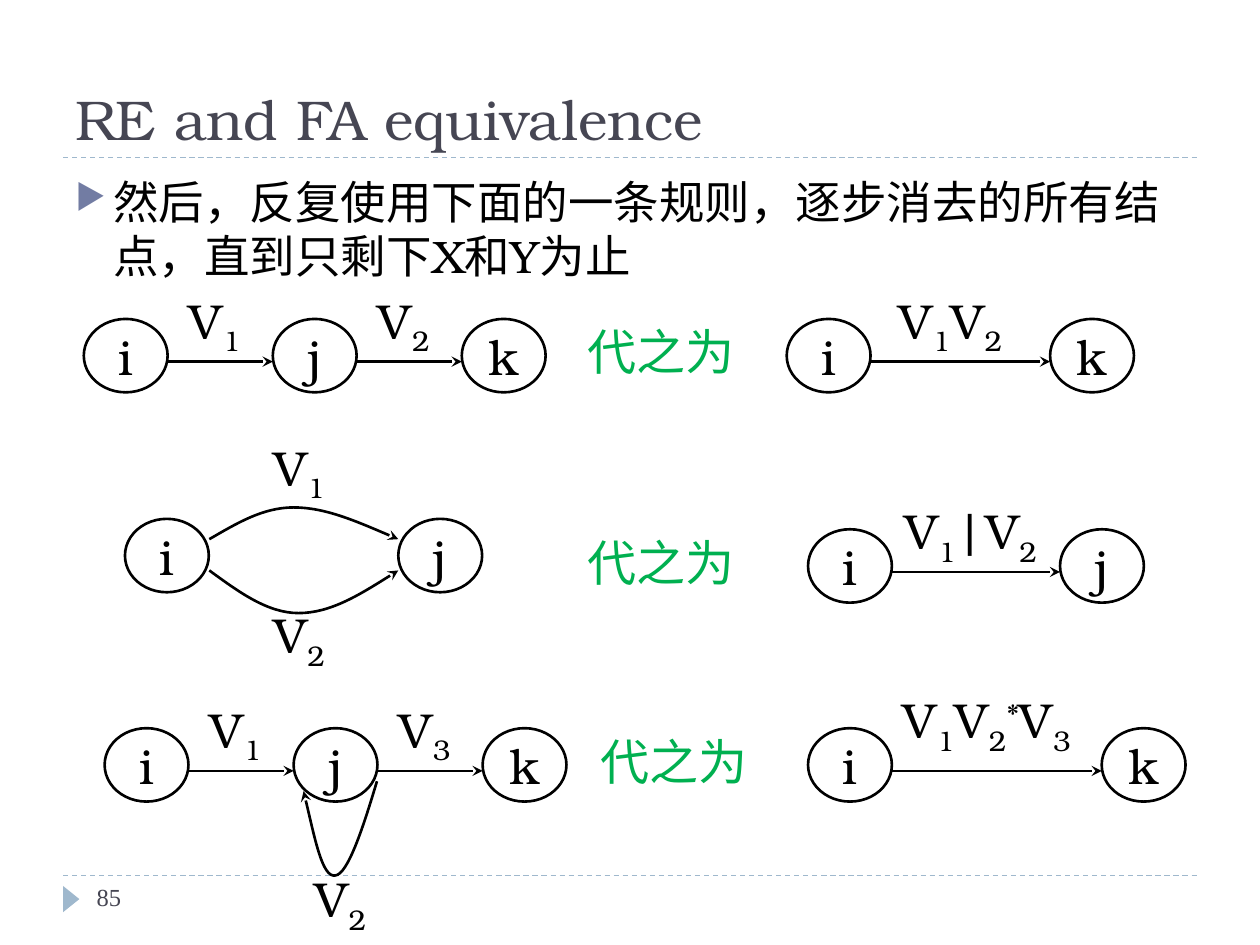
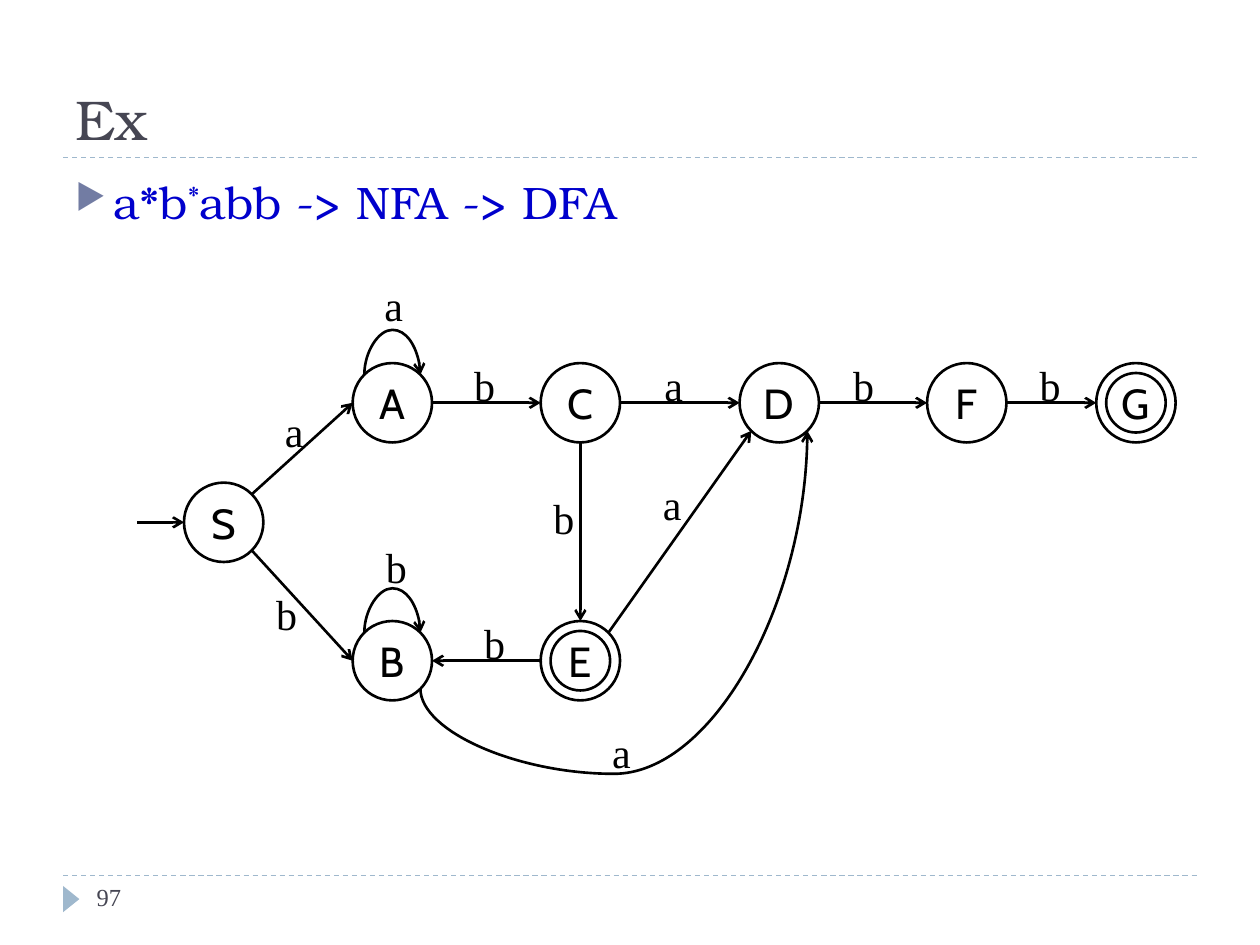
from dataclasses import dataclass
from itertools import groupby
from math import cos, radians, sin

from lxml.etree import SubElement
from pptx import Presentation
from pptx.dml.color import RGBColor
from pptx.enum.dml import MSO_LINE
from pptx.enum.shapes import MSO_CONNECTOR, MSO_SHAPE
from pptx.enum.text import MSO_ANCHOR, MSO_AUTO_SIZE, PP_ALIGN
from pptx.oxml.ns import qn
from pptx.util import Cm, Pt


@dataclass(frozen=True)
class Theme:
    ink: str = "000000"
    heading: str = "464653"
    rule: str = "9FB8CD"
    bullet: str = "727CA3"
    replace: str = "00B050"
    example: str = "0000CC"
    serif: str = "TeX Gyre Bonum"
    roman: str = "Times New Roman"
    sans: str = "Cabin"
    title_size: int = 32
    body_size: int = 26
    diagram_size: int = 28
    state_size: int = 24
    number_size: int = 14
    stroke: float = 1.5
    hairline: float = 0.75


@dataclass(frozen=True)
class Box:
    left: float
    top: float
    width: float = 0
    height: float = 0

    def at(self, x, y):
        return self.left + x, self.top + y

    def lengths(self):
        return [Cm(value) for value in (self.left, self.top, self.width, self.height)]


THEME = Theme()
TITLE_BOX = Box(1.27, 0.43, 22.86, 2.75)
BODY_BOX = Box(1.27, 3.38, 22.86, 2.5)
NUMBER_BOX = Box(1.7, 17.65, 5.5, 1.02)
RULE_TOPS = (3.18, 17.65)
SHIFTS = {"_": "-25000", "^": "30000"}

NODE_WIDTH, NODE_HEIGHT = 1.69, 1.48
ARROW_DROP = 0.86
STATE_RADIUS, FINAL_RADIUS = 0.8, 0.6


# Formatting helpers

def set_values(target, values):
    for name, value in values.items():
        setattr(target, name, value)


def split_shifts(text):
    """Split text into runs; "_" lowers and "^" raises the next character."""
    characters, shift = [], None
    for character in text:
        if character in SHIFTS:
            shift = SHIFTS[character]
        else:
            characters.append((character, shift))
            shift = None
    for baseline, group in groupby(characters, key=lambda pair: pair[1]):
        yield "".join(character for character, _ in group), baseline


def write(shape, text, size, font=THEME.serif, color=THEME.ink, frame=None, align=PP_ALIGN.LEFT):
    text_frame = shape.text_frame
    set_values(text_frame, {"word_wrap": True, "auto_size": MSO_AUTO_SIZE.NONE, **(frame or {})})
    paragraph = text_frame.paragraphs[0]
    paragraph.alignment = align
    for part, baseline in split_shifts(text):
        run = paragraph.add_run()
        run.text = part
        set_values(run.font, {"name": font, "size": Pt(size)})
        run.font.color.rgb = RGBColor.from_string(color)
        if baseline:
            run._r.get_or_add_rPr().set("baseline", baseline)
    return paragraph


def set_line(shape, head=None, color=THEME.ink, width=THEME.stroke):
    shape.line.color.rgb = RGBColor.from_string(color)
    shape.line.width = Pt(width)
    if head:
        SubElement(shape.line._get_or_add_ln(), qn("a:tailEnd"), type=head)


# Drawing helpers, all in centimetres

def add_line(slide, start, end, **style):
    connector = slide.shapes.add_connector(
        MSO_CONNECTOR.STRAIGHT, *(Cm(value) for value in (*start, *end)))
    set_line(connector, **style)
    SubElement(connector._element.spPr, qn("a:effectLst"))
    return connector


def add_curve(slide, points, head):
    """Draw Bezier segments: a start, then two controls and an end for each."""
    start, *others = [(Cm(x), Cm(y)) for x, y in points]
    builder = slide.shapes.build_freeform(*start)
    builder.add_line_segments(others, close=False)
    shape = builder.convert_to_shape()
    path = next(shape._element.iter(qn("a:path")))
    segments = path.findall(qn("a:lnTo"))
    for index in range(0, len(segments), 3):
        bezier = SubElement(path, qn("a:cubicBezTo"))
        for segment in segments[index:index + 3]:
            bezier.append(segment[0])
            path.remove(segment)
    shape.fill.background()
    shape.shadow.inherit = False
    set_line(shape, head)


def add_bend(slide, start, turn, end, head):
    """Curve that leaves vertically, touches the height turn and comes back."""
    (x1, y1), (x2, y2) = start, end
    quarter = (x2 - x1) / 4
    add_curve(slide, [
        start, (x1, (y1 + turn) / 2), (x1 + quarter, turn), (x1 + 2 * quarter, turn),
        (x2 - quarter, turn), (x2, (y2 + turn) / 2), end], head)


def add_ellipse(slide, box, text="", **style):
    ellipse = slide.shapes.add_shape(MSO_SHAPE.OVAL, *box.lengths())
    ellipse.fill.background()
    ellipse.shadow.inherit = False
    set_line(ellipse)
    if text:
        margins = dict.fromkeys(
            ("margin_left", "margin_right", "margin_top", "margin_bottom"), 0)
        frame = {"word_wrap": False, "vertical_anchor": MSO_ANCHOR.MIDDLE, **margins}
        write(ellipse, text, frame=frame, align=PP_ALIGN.CENTER, **style)


def add_label(slide, center, text, width=2.34, height=1.48, **style):
    x, y = center
    box = Box(x - width / 2, y - height / 2, width, height)
    label = slide.shapes.add_textbox(*box.lengths())
    style = {"size": THEME.diagram_size, **style}
    frame = {"word_wrap": False, "vertical_anchor": MSO_ANCHOR.MIDDLE}
    write(label, text, frame=frame, align=PP_ALIGN.CENTER, **style)


# Parts every slide shares

def add_page(presentation, title, number):
    slide = presentation.slides.add_slide(presentation.slide_layouts[5])
    for top in RULE_TOPS:
        rule = add_line(slide, (1.27, top), (24.13, top), color=THEME.rule, width=THEME.hairline)
        rule.line.dash_style = MSO_LINE.DASH

    heading = slide.shapes.title
    set_values(heading, dict(zip(("left", "top", "width", "height"), TITLE_BOX.lengths())))
    write(heading, title, THEME.title_size, color=THEME.heading,
          frame={"vertical_anchor": MSO_ANCHOR.BOTTOM})

    marker = slide.shapes.add_shape(
        MSO_SHAPE.ISOSCELES_TRIANGLE, *Box(1.17, 17.96, 0.53, 0.33).lengths())
    marker.rotation = 90
    marker.fill.solid()
    marker.fill.fore_color.rgb = RGBColor.from_string(THEME.rule)
    marker.line.fill.background()
    marker.shadow.inherit = False

    page_number = slide.shapes.add_textbox(*NUMBER_BOX.lengths())
    write(page_number, number, THEME.number_size, THEME.roman, THEME.heading)
    return slide


def add_bullet(slide, box, text, color):
    body = slide.shapes.add_textbox(*box.lengths())
    paragraph = write(body, text, THEME.body_size, color=color)
    properties = paragraph._p.get_or_add_pPr()
    indent = Cm(0.76)
    properties.set("marL", str(indent))
    properties.set("indent", str(-indent))
    bullet_color = SubElement(properties, qn("a:buClr"))
    SubElement(bullet_color, qn("a:srgbClr"), val=THEME.bullet)
    SubElement(properties, qn("a:buSzPct"), val="76000")
    SubElement(properties, qn("a:buChar"), char="▶")


# Rewriting rules

def add_nodes(slide, box, names, pitch):
    for index, name in enumerate(names):
        node = Box(*box.at(index * pitch, 0), NODE_WIDTH, NODE_HEIGHT)
        add_ellipse(slide, node, name, size=THEME.diagram_size)


def add_chain(slide, box, names, pitch, labels, label_offset=(-0.11, 0.1)):
    add_nodes(slide, box, names, pitch)
    for index, label in enumerate(labels):
        start = index * pitch + NODE_WIDTH
        end = (index + 1) * pitch
        add_line(slide, box.at(start, ARROW_DROP), box.at(end, ARROW_DROP), head="stealth")
        dx, dy = label_offset
        add_label(slide, box.at((start + end) / 2 + dx, dy), label)


def add_arc(slide, box, points, label, label_center):
    add_curve(slide, [box.at(*point) for point in points], "stealth")
    add_label(slide, box.at(*label_center), label)


def add_parallel(slide, box):
    add_nodes(slide, box, "ij", 5.51)
    upper = [(1.7, 0.41), (2.24, 0.1), (2.77, -0.23), (3.4, -0.23),
             (4.04, -0.23), (4.78, 0.1), (5.51, 0.41)]
    lower = [(1.7, 1.04), (2.29, 1.47), (2.87, 1.9), (3.5, 1.9),
             (4.14, 1.9), (4.83, 1.47), (5.51, 1.04)]
    add_arc(slide, box, upper, "V_1", (3.51, -0.97))
    add_arc(slide, box, lower, "V_2", (3.51, 2.41))


def add_looped_chain(slide, box):
    add_chain(slide, box, "ijk", 3.81, ["V_1", "V_3"])
    loop = [(5.49, 1.07), (5.21, 2.01), (4.9, 2.95), (4.65, 2.97),
            (4.39, 3.02), (4.22, 2.13), (4.01, 1.27)]
    add_arc(slide, box, loop, "V_2", (4.75, 3.51))


def add_rules_slide(presentation):
    slide = add_page(presentation, "RE and FA equivalence", "85")
    add_bullet(slide, BODY_BOX,
               "然后，反复使用下面的一条规则，逐步消去的所有结点，直到只剩下X和Y为止", THEME.ink)
    # Left-hand sides
    add_chain(slide, Box(1.69, 6.43), "ijk", 3.81, ["V_1", "V_2"])
    add_parallel(slide, Box(2.52, 10.46))
    add_looped_chain(slide, Box(2.11, 14.68))
    # Replacements
    add_chain(slide, Box(15.86, 6.43), "ik", 5.31, ["V_1V_2"], (-0.2, 0.1))
    add_chain(slide, Box(16.29, 10.67), "ij", 5.08, ["V_1|V_2"])
    add_chain(slide, Box(16.29, 14.68), "ik", 5.92, ["V_1V_2^*V_3"], (-0.2, -0.1))
    for center in ((13.32, 7.07), (13.32, 11.32), (13.58, 15.33)):
        add_label(slide, center, "代之为", width=2.97, height=1.7, color=THEME.replace)


# Automaton

STATES = {
    "S": (1.81, 5.03), "A": (5.21, 2.62), "B": (5.21, 7.82), "C": (9, 2.62),
    "D": (13.01, 2.62), "F": (16.79, 2.62), "G": (20.2, 2.62), "E": (9, 7.82),
}
FINAL_STATES = "GE"
# source, angle, target, angle, label, label center, height of the bend
EDGES = [
    ("S", -45, "A", 180, "a", (3.23, 3.19), None),
    ("S", 45, "B", 180, "b", (3.08, 6.87), None),
    ("E", 180, "B", 0, "b", (7.27, 7.45), None),
    ("A", 0, "C", 180, "b", (7.07, 2.25), None),
    ("C", 0, "D", 180, "a", (10.88, 2.25), None),
    ("D", 0, "F", 180, "b", (14.71, 2.25), None),
    ("F", 0, "G", 180, "b", (18.47, 2.25), None),
    ("C", 90, "E", -90, "b", (8.67, 4.94), None),
    ("E", -45, "D", 135, "a", (10.85, 4.66), None),
    ("A", -135, "A", -45, "a", (5.24, 0.65), 1.15),
    ("B", -135, "B", -45, "b", (5.29, 5.93), 6.36),
    ("B", 45, "D", 45, "a", (9.83, 9.66), 10.1),
]


def rim_point(box, state, angle):
    x, y = STATES[state]
    return box.at(x + STATE_RADIUS * cos(radians(angle)), y + STATE_RADIUS * sin(radians(angle)))


def add_circle(slide, center, radius, text=""):
    x, y = center
    add_ellipse(slide, Box(x - radius, y - radius, 2 * radius, 2 * radius), text,
                size=THEME.state_size, font=THEME.sans)


def add_automaton(slide, box):
    for name, center in STATES.items():
        add_circle(slide, box.at(*center), STATE_RADIUS, name)
        if name in FINAL_STATES:
            add_circle(slide, box.at(*center), FINAL_RADIUS)
    # Entry arrow
    entry_x, entry_y = rim_point(box, "S", 180)
    add_line(slide, (entry_x - 0.94, entry_y), (entry_x, entry_y), head="arrow")
    # Transitions
    for source, leave, target, arrive, label, center, turn in EDGES:
        start, end = rim_point(box, source, leave), rim_point(box, target, arrive)
        if turn is None:
            add_line(slide, start, end, head="arrow")
        else:
            add_bend(slide, start, box.top + turn, end, "arrow")
        add_label(slide, box.at(*center), label, width=0.92, height=1.27,
                  size=THEME.state_size, font=THEME.roman)


def add_example_slide(presentation):
    slide = add_page(presentation, "Ex", "97")
    add_bullet(slide, BODY_BOX, "a*b^*abb -> NFA -> DFA", THEME.example)
    add_automaton(slide, Box(2.7, 5.5))


def main():
    presentation = Presentation()
    set_values(presentation, {"slide_width": Cm(25.4), "slide_height": Cm(19.05)})
    add_rules_slide(presentation)
    add_example_slide(presentation)
    presentation.save("out.pptx")


if __name__ == "__main__":
    main()
